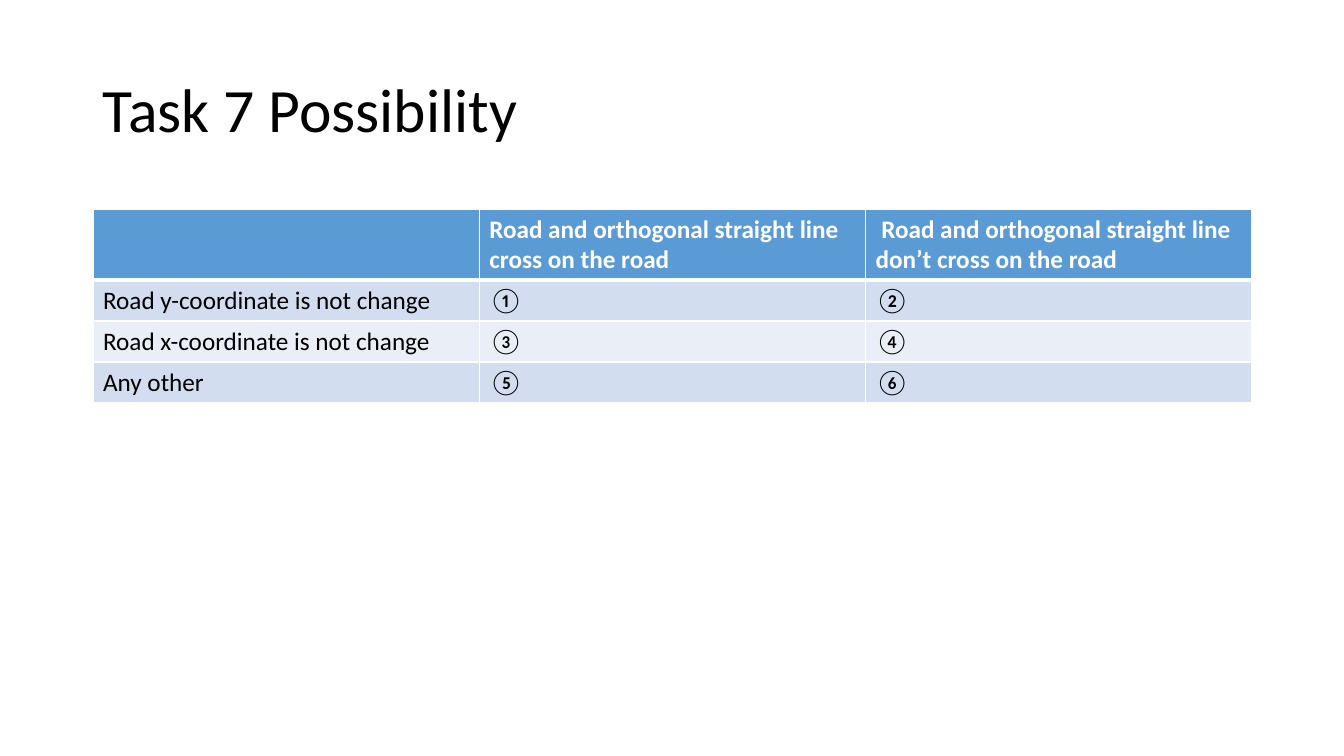
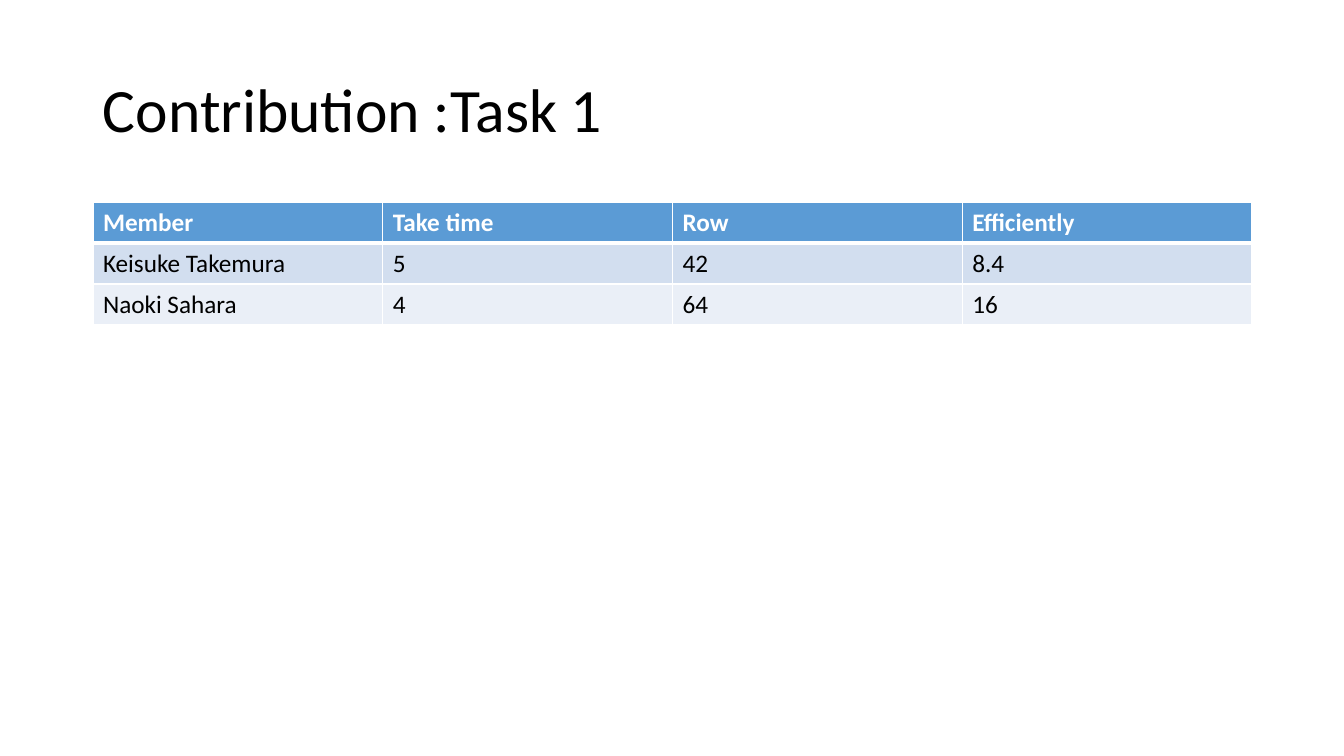
"""Build two slides, each with a title and a banded table."""
from lxml import etree
from pptx import Presentation
from pptx import util as u
from pptx.dml.color import RGBColor
from pptx.enum import text
from pptx.oxml import ns

PIXEL = 914400 / 100.8
FONT = "Calibri"
BLACK = RGBColor(0x00, 0x00, 0x00)
WHITE = RGBColor(0xFF, 0xFF, 0xFF)
HEADER_BLUE = RGBColor(0x5B, 0x9B, 0xD5)
BANDS = (RGBColor(0xD2, 0xDE, 0xEF), RGBColor(0xEA, 0xEF, 0xF7))

TITLE_BOX = (93, 40, 1159, 146)
TABLE_LEFT, TABLE_WIDTH = 93, 1159
ROW_HEIGHT = 41

POSSIBILITY_ROWS = (
    ("", "Road and orthogonal straight line cross on the road",
     " Road and orthogonal straight line don’t cross on the road"),
    ("Road y-coordinate is not change", "①", "②"),
    ("Road x-coordinate is not change", "③", "④"),
    ("Any other", "⑤", "⑥"),
)
CONTRIBUTION_ROWS = (
    ("Member ", "Take time", "Row", "Efficiently"),
    ("Keisuke Takemura", "5", "42", "8.4"),
    ("Naoki Sahara", "4", "64", "16"),
)


def px(length):
    """Turn pixels into EMU."""
    return u.Emu(round(length * PIXEL))


def write(frame, words, size=18, color=BLACK, bold=False, spacing=1.0):
    """Write one formatted paragraph into a text frame."""
    para = frame.paragraphs[0]
    para.line_spacing = spacing
    para.font.size = u.Pt(size)
    if words:
        span = para.add_run()
        span.text = words
        span.font.name = FONT
        span.font.size = u.Pt(size)
        span.font.bold = bold
        span.font.color.rgb = color


def add_title(page, box, words):
    """Place the slide title in the box."""
    frame = page.shapes.add_textbox(*map(px, box)).text_frame
    frame.word_wrap = True
    frame.vertical_anchor = text.MSO_ANCHOR.MIDDLE
    write(frame, words, size=44, spacing=0.9)


def add_borders(cell, top, bottom):
    """Draw white borders around a cell, with widths in points."""
    properties = cell._tc.get_or_add_tcPr()
    for side, width in (("L", 1), ("R", 1), ("T", top), ("B", bottom)):
        line = etree.SubElement(properties, ns.qn(f"a:ln{side}"), w=str(u.Pt(width)))
        fill = etree.SubElement(line, ns.qn("a:solidFill"))
        etree.SubElement(fill, ns.qn("a:srgbClr"), val=str(WHITE))


def add_banded_table(page, box, rows, header_height):
    """Place a table with a blue header and alternating bands in the box."""
    table = page.shapes.add_table(len(rows), len(rows[0]), *map(px, box)).table
    for column in table.columns:
        column.width = px(box[2] / len(rows[0]))
    for index, values in enumerate(rows):
        header = index == 0
        table.rows[index].height = px(header_height if header else ROW_HEIGHT)
        for cell, words in zip(table.rows[index].cells, values):
            add_borders(cell, top=3 if index == 1 else 1, bottom=3 if header else 1)
            cell.fill.solid()
            cell.fill.fore_color.rgb = HEADER_BLUE if header else BANDS[(index - 1) % 2]
            write(cell.text_frame, words, color=WHITE if header else BLACK, bold=header)


def add_table_page(deck, title, rows, top, header_height=ROW_HEIGHT):
    """Add a slide with a title above a table."""
    page = deck.slides.add_slide(deck.slide_layouts[6])
    add_title(page, TITLE_BOX, title)
    height = header_height + ROW_HEIGHT * (len(rows) - 1)
    add_banded_table(page, (TABLE_LEFT, top, TABLE_WIDTH, height), rows, header_height)


def main():
    """Build and save the deck."""
    deck = Presentation()
    deck.slide_width, deck.slide_height = px(1344), px(756)
    add_table_page(deck, "Task 7 Possibility", POSSIBILITY_ROWS, top=209, header_height=71)
    add_table_page(deck, "Contribution :Task 1", CONTRIBUTION_ROWS, top=202)
    deck.save("out.pptx")


main()
